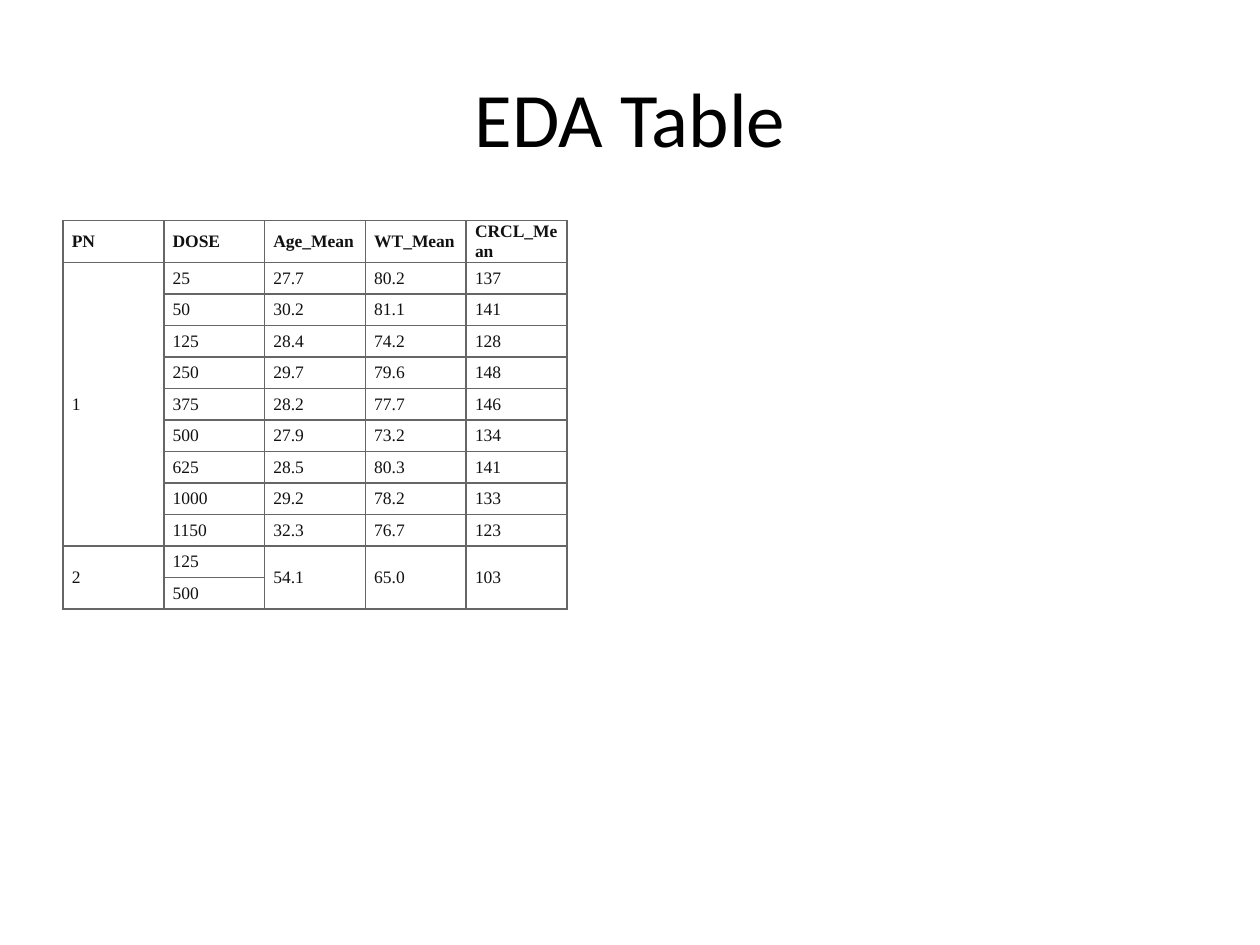
from lxml import etree
from pptx import Presentation
from pptx.dml.color import RGBColor
from pptx.enum.text import MSO_ANCHOR, PP_ALIGN
from pptx.oxml.ns import qn
from pptx.util import Inches, Pt

MIDDLE = MSO_ANCHOR.MIDDLE
CENTER = PP_ALIGN.CENTER
BLACK = RGBColor(0x00, 0x00, 0x00)
INK = RGBColor(0x11, 0x11, 0x11)
GRID = RGBColor(0x66, 0x66, 0x66)

ROWS = [
    ("PN", "DOSE", "Age_Mean", "WT_Mean", "CRCL_Mean"),
    ("1", "25", "27.7", "80.2", "137"),
    ("", "50", "30.2", "81.1", "141"),
    ("", "125", "28.4", "74.2", "128"),
    ("", "250", "29.7", "79.6", "148"),
    ("", "375", "28.2", "77.7", "146"),
    ("", "500", "27.9", "73.2", "134"),
    ("", "625", "28.5", "80.3", "141"),
    ("", "1000", "29.2", "78.2", "133"),
    ("", "1150", "32.3", "76.7", "123"),
    ("2", "125", "54.1", "65.0", "103"),
    ("", "500", "", "", ""),
]
# first row, last row, column
MERGES = [(1, 9, 0), (10, 11, 0), (10, 11, 2), (10, 11, 3), (10, 11, 4)]


def write(tf, text, *, font, size, color, bold=False, align=None):
    p = tf.paragraphs[0]
    p.alignment = align
    r = p.add_run()
    r.text = text
    r.font.name = font
    r.font.size = Pt(size)
    r.font.bold = bold
    r.font.color.rgb = color
    return p


def add_borders(cell):
    """Draw a 1 pt line on all four sides, ahead of the cell's fill."""
    tc_pr = cell._tc.get_or_add_tcPr()
    for i, side in enumerate(("lnL", "lnR", "lnT", "lnB")):
        ln = etree.Element(qn(f"a:{side}"), w=str(Pt(1)))
        fill = etree.SubElement(ln, qn("a:solidFill"))
        etree.SubElement(fill, qn("a:srgbClr"), val=str(GRID))
        tc_pr.insert(i, ln)


prs = Presentation()
prs.slide_width = Inches(10)
prs.slide_height = Inches(7.5)
s = prs.slides.add_slide(prs.slide_layouts[6])

title = s.shapes.add_textbox(Inches(0.5), Inches(0.3), Inches(9), Inches(1.25))
title.text_frame.word_wrap = True
title.text_frame.vertical_anchor = MIDDLE
write(title.text_frame, "EDA Table", font="Calibri", size=44, color=BLACK, align=CENTER)

frame = s.shapes.add_table(len(ROWS), len(ROWS[0]), Inches(0.5), Inches(1.75),
                           Inches(4), Inches(3))
table = frame.table
table.first_row = False
table.horz_banding = False
for col in table.columns:
    col.width = Inches(0.8)
for row in table.rows:
    row.height = Inches(0.25)
frame.width, frame.height = Inches(9), Inches(4.95)

for first, last, c in MERGES:
    table.cell(first, c).merge(table.cell(last, c))

for i, values in enumerate(ROWS):
    for j, text in enumerate(values):
        cell = table.cell(i, j)
        cell.fill.background()
        add_borders(cell)
        cell.vertical_anchor = MIDDLE
        cell.margin_left = cell.margin_right = 0
        cell.margin_top = cell.margin_bottom = 0
        if cell.is_spanned:
            continue
        p = write(cell.text_frame, text, font="Times New Roman", size=10,
                  color=INK, bold=i == 0)
        p.space_before = p.space_after = Pt(2)
        p_pr = p._p.get_or_add_pPr()
        for margin in ("marL", "marR"):
            p_pr.set(margin, str(Inches(0.07)))

prs.save("out.pptx")
